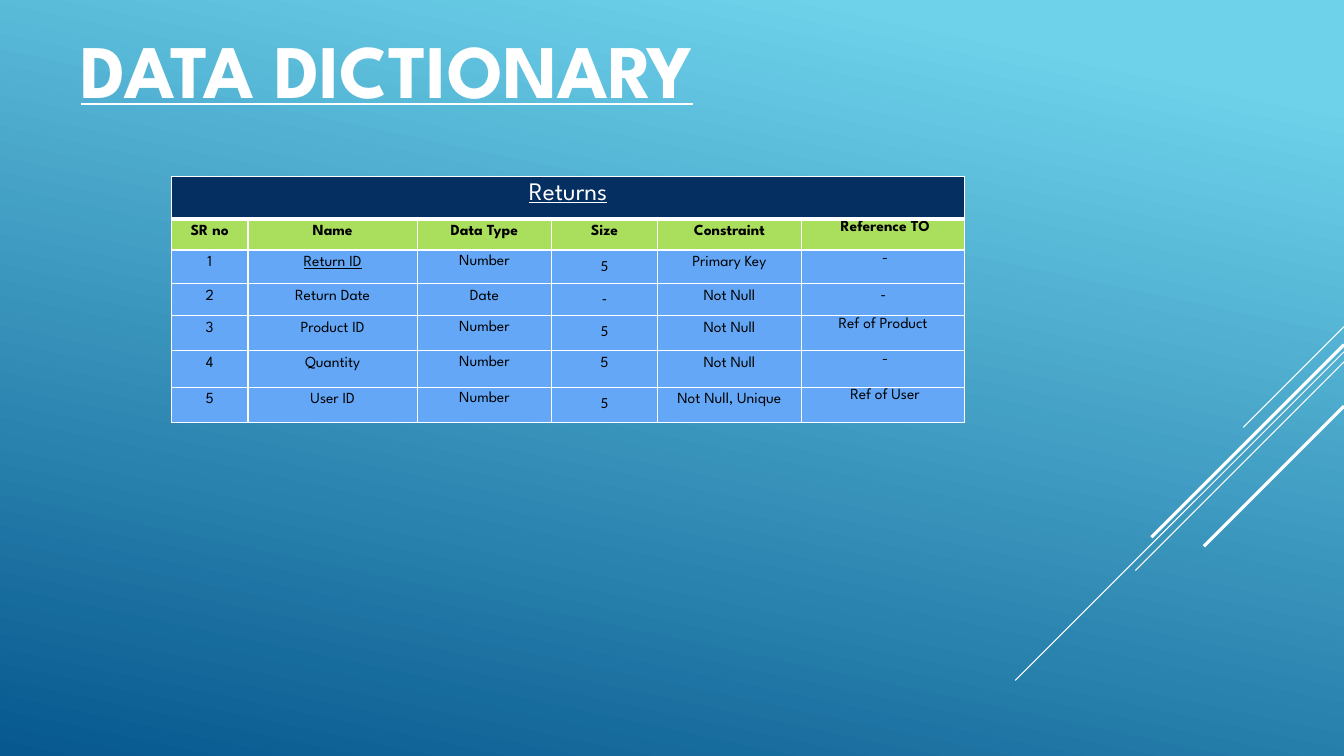
from dataclasses import astuple, dataclass

from lxml import etree
from pptx import Presentation
from pptx.dml.color import RGBColor
from pptx.enum.shapes import MSO_CONNECTOR
from pptx.enum.text import MSO_ANCHOR, PP_ALIGN
from pptx.oxml.ns import qn
from pptx.util import Inches, Pt

STRAIGHT = MSO_CONNECTOR.STRAIGHT
CENTER = PP_ALIGN.CENTER
MIDDLE = MSO_ANCHOR.MIDDLE

WIDE, HIGH = 13.33, 7.5
SPARTAN, CALIBRI = "League Spartan", "Calibri"
WHITE, BLACK = "FFFFFF", "000000"
NAVY, GREEN, BLUE = "052F61", "AADF5E", "64A7F7"
COLS = [0.76, 1.68, 1.33, 1.05, 1.43, 1.62]
ROWS = [0.34, 0.31, 0.33, 0.32, 0.35, 0.36, 0.35]
SIZE, REF = 3, 5


@dataclass
class Ray:
    """A diagonal at 45 degrees, from the right edge down to the left."""
    top: float
    run: float
    width: float


@dataclass
class Field:
    number: str
    name: str
    kind: str
    size: str
    rule: str
    ref: str


@dataclass
class Style:
    fill: str
    color: str = BLACK
    points: float = 11
    face: str = SPARTAN
    bold: bool = False
    under: bool = False
    spaced: bool = True
    after: float = 8
    base: float = 1


RAYS = [
    Ray(3.24, 1, 0.75),
    Ray(3.49, 3.26, 0.75),
    Ray(3.59, 2.07, 0.75),
    Ray(3.42, 1.91, 2.25),
    Ray(4.03, 1.39, 2.25),
]
HEAD = Field("SR no", "Name", "Data Type", "Size", "Constraint", " Reference TO")
FIELDS = [
    Field("1", "Return ID", "Number", "5", "Primary Key", " -"),
    Field("2", "Return Date", "Date", "-", "Not Null", "-"),
    Field("3", "Product ID", "Number", "5", "Not Null", "Ref of Product"),
    Field("4", "Quantity", "Number", "5", "Not Null", " -"),
    Field("5", "User ID", "Number", "5", "Not Null, Unique", " Ref of User"),
]


def rgb(code: str) -> RGBColor:
    return RGBColor.from_string(code)


def paint(slide) -> None:
    """Fill the background with the blue gradient."""
    fill = slide.background.fill
    fill.gradient()
    fill.gradient_angle = 258
    for stop, (place, code) in zip(fill.gradient_stops, [(0.1, "6ED2EB"), (1, "06588E")]):
        stop.position = place
        stop.color.rgb = rgb(code)


def draw_ray(slide, ray: Ray) -> None:
    line = slide.shapes.add_connector(
        STRAIGHT, Inches(WIDE), Inches(ray.top),
        Inches(WIDE - ray.run), Inches(ray.top + ray.run))
    line.line.color.rgb = rgb(WHITE)
    line.line.width = Pt(ray.width)
    etree.SubElement(line._element.spPr, qn("a:effectLst"))


def set_font(part, face: str, points: float, color: str, bold: bool, under: bool) -> None:
    font = part.font
    font.name, font.size = face, Pt(points)
    font.bold, font.underline = bold, under
    font.color.rgb = rgb(color)


def add_title(slide, text: str) -> None:
    box = slide.shapes.add_textbox(Inches(-0.86), Inches(0.17), Inches(9.4), Inches(1.02))
    frame = box.text_frame
    frame.word_wrap = True
    frame.vertical_anchor = MIDDLE
    part = frame.paragraphs[0]
    part.text = text
    part.alignment = CENTER
    set_font(part, SPARTAN, 54, WHITE, True, True)


def edge(cell, base: float) -> None:
    """Border a cell in white; base is the width of the bottom line."""
    props = cell._tc.get_or_add_tcPr()
    for side, width in [("L", 1), ("R", 1), ("T", 1), ("B", base)]:
        line = etree.SubElement(props, qn(f"a:ln{side}"), w=str(Pt(width)))
        fill = etree.SubElement(line, qn("a:solidFill"))
        etree.SubElement(fill, qn("a:srgbClr"), val=WHITE)


def fill_cell(cell, text: str, style: Style, tight: bool = False) -> None:
    edge(cell, style.base)
    cell.fill.solid()
    cell.fill.fore_color.rgb = rgb(style.fill)
    cell.margin_left = cell.margin_right = Inches(0.01 if tight else 0.09)
    cell.margin_top = Inches(0.01 if tight else 0.05)
    cell.margin_bottom = Inches(0 if tight else 0.05)
    part = cell.text_frame.paragraphs[0]
    part.text = text
    part.alignment = CENTER
    if style.spaced:
        part.line_spacing = 1.07
        part.space_after = Pt(style.after)
    set_font(part, style.face, style.points, style.color, style.bold, style.under)


def body_style(field: Field, col: int, text: str) -> Style:
    dash = text == "-"
    plain = dash or (col == SIZE and field.name != "Quantity")
    return Style(BLUE, face=CALIBRI if plain else SPARTAN,
                 under=text == "Return ID", spaced=text != "Number",
                 after=0 if dash else 8)


def add_grid(slide) -> None:
    grid = slide.shapes.add_table(
        len(ROWS), len(COLS), Inches(1.7), Inches(1.75),
        Inches(sum(COLS)), Inches(sum(ROWS))).table
    for col, width in zip(grid.columns, COLS):
        col.width = Inches(width)
    for row, height in zip(grid.rows, ROWS):
        row.height = Inches(height)
    grid.cell(0, 0).merge(grid.cell(0, len(COLS) - 1))
    fill_cell(grid.cell(0, 0), "Returns", Style(NAVY, WHITE, 18, under=True, base=3))
    for col, text in enumerate(astuple(HEAD)):
        fill_cell(grid.cell(1, col), text, Style(GREEN, bold=True), col == REF)
    for row, field in enumerate(FIELDS, 2):
        for col, text in enumerate(astuple(field)):
            fill_cell(grid.cell(row, col), text, body_style(field, col, text), col == REF)


def main() -> None:
    deck = Presentation()
    deck.slide_width, deck.slide_height = Inches(WIDE), Inches(HIGH)
    slide = deck.slides.add_slide(deck.slide_layouts[6])
    paint(slide)
    for ray in RAYS:
        draw_ray(slide, ray)
    add_title(slide, "DATA DICTIONARY")
    add_grid(slide)
    deck.save("out.pptx")


if __name__ == "__main__":
    main()
